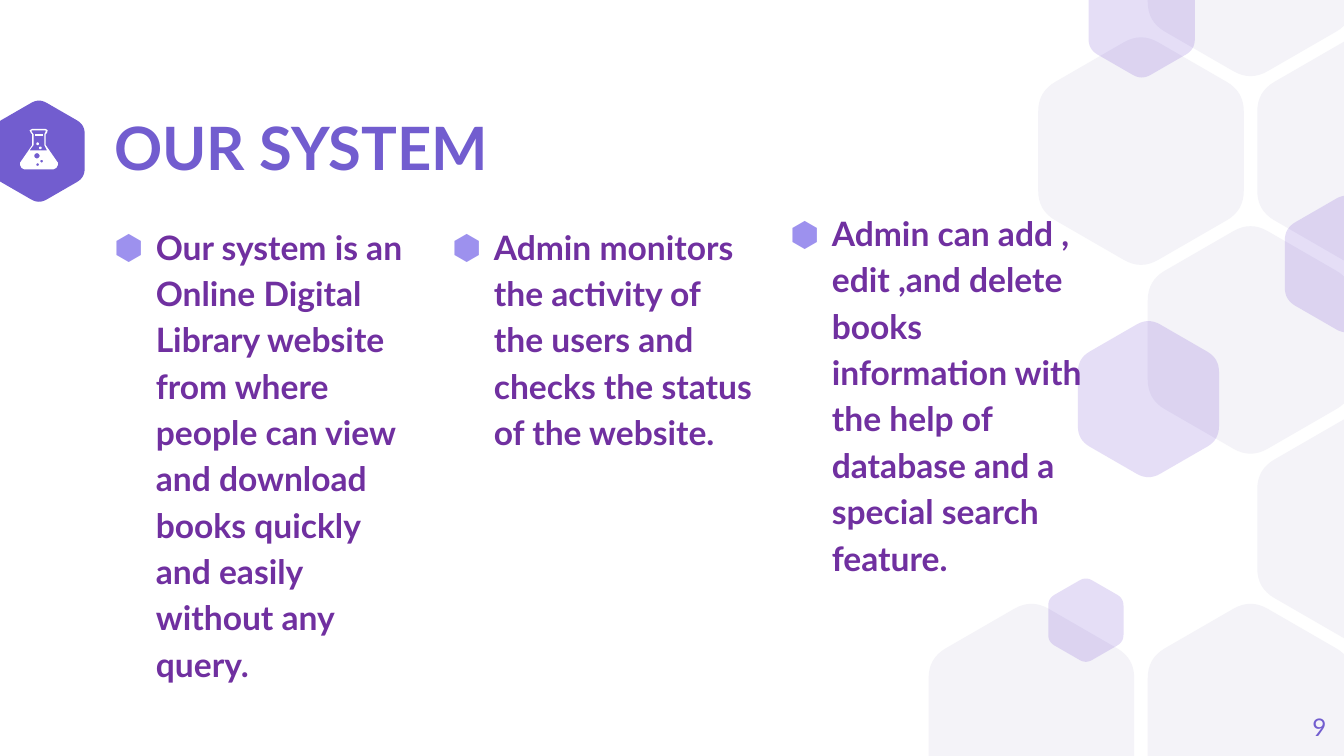
"""Build the OUR SYSTEM slide: three bulleted columns beside a honeycomb."""
from math import cos, pi, sin, sqrt

from lxml import etree
from pptx import Presentation
from pptx.dml.color import RGBColor
from pptx.enum.text import MSO_ANCHOR, MSO_AUTO_SIZE, PP_ALIGN
from pptx.oxml.ns import qn
from pptx.util import Inches, Pt

LEFT, RIGHT = PP_ALIGN.LEFT, PP_ALIGN.RIGHT
TOP, MIDDLE = MSO_ANCHOR.TOP, MSO_ANCHOR.MIDDLE
NO_AUTOFIT = MSO_AUTO_SIZE.NONE
COLORS = {
    "violet": "725DCF",
    "body": "7030A0",
    "bullet": "9D91EE",
    "cell": "F4F3F8",
    "accent": "5322C9",
    "icon": "FFFFFF",
}
FONT = "Lato"
SLIDE_WIDTH, SLIDE_HEIGHT = 10, 5.625
MARGIN, COLUMN_WIDTH, COLUMN_PITCH = 0.85, 2.27, 2.515
CELL_WIDTH, CELL_PITCH, ROW_PITCH = 1.53, 0.815, 1.405
FIRST_CELL_X, FIRST_CELL_Y = 7.675, -0.28
CORNER, CURVE_STEPS = 1 / 6, 8
INDENT = 0.31


def draw_outline(contours, color, opacity=100):
    points = [[(Inches(x), Inches(y)) for x, y in contour] for contour in contours]
    builder = slide.shapes.build_freeform(*points[0][0], scale=1.0)
    for number, contour in enumerate(points):
        if number:
            builder.move_to(*contour[0])
        builder.add_line_segments(contour[1:], close=True)
    shape = builder.convert_to_shape()
    shape.shadow.inherit = False
    shape.fill.solid()
    shape.fill.fore_color.rgb = RGBColor.from_string(COLORS[color])
    shape.line.fill.background()
    if opacity < 100:
        fill_color = shape.fill._xPr.find(qn("a:solidFill"))[0]
        etree.SubElement(fill_color, qn("a:alpha"), val=str(opacity * 1000))


def write_text(shape, text, box, size, color, bold=False, align=LEFT,
               anchor=TOP, spacing=1.0, bullet=None):
    shape.left, shape.top, shape.width, shape.height = map(Inches, box)
    frame = shape.text_frame
    frame.word_wrap = True
    frame.auto_size = NO_AUTOFIT
    frame.vertical_anchor = anchor
    frame.margin_left = frame.margin_right = 0
    frame.margin_top = frame.margin_bottom = 0
    paragraph = frame.paragraphs[0]
    if bullet:
        properties = paragraph._p.get_or_add_pPr()
        properties.set("marL", str(Inches(INDENT)))
        properties.set("indent", str(-Inches(INDENT)))
        bullet_color = etree.SubElement(properties, qn("a:buClr"))
        etree.SubElement(bullet_color, qn("a:srgbClr"), val=COLORS["bullet"])
        etree.SubElement(properties, qn("a:buFont"), typeface=FONT)
        etree.SubElement(properties, qn("a:buChar"), char=bullet)
    paragraph.alignment = align
    paragraph.line_spacing = spacing
    run = paragraph.add_run()
    run.text = text
    run.font.name = FONT
    run.font.size = Pt(size)
    run.font.bold = bold
    run.font.color.rgb = RGBColor.from_string(COLORS[color])


presentation = Presentation()
presentation.slide_width = Inches(SLIDE_WIDTH)
presentation.slide_height = Inches(SLIDE_HEIGHT)
slide = presentation.slides.add_slide(presentation.slide_layouts[5])

cells = [(0, 4), (2, 4), (3, 1), (2, 0), (2, 2), (1, 1), (3, 3)]
hexagons = [(0.29, 1.125, 0.68, "violet", 100)]
hexagons += [
    (FIRST_CELL_X + column * CELL_PITCH, FIRST_CELL_Y + row * ROW_PITCH, CELL_WIDTH, "cell", 100)
    for column, row in cells
]
hexagons += [
    (x, y, width, "accent", 15)
    for x, y, width in [(10.02, 1.965, 0.92), (8.08, 4.615, 0.56),
                        (8.495, 0.14, 0.79), (8.545, 2.97, 1.05)]
]

for center_x, center_y, width, color, opacity in hexagons:
    radius = width / sqrt(3)
    corners = [
        (center_x + radius * sin(k * pi / 3), center_y - radius * cos(k * pi / 3))
        for k in range(6)
    ]
    outline = []
    for k, corner in enumerate(corners):
        before, after = corners[k - 1], corners[(k + 1) % 6]
        for step in range(CURVE_STEPS + 1):
            t = step / CURVE_STEPS
            x, y = (
                c + CORNER * ((1 - t) ** 2 * (b - c) + t ** 2 * (a - c))
                for b, c, a in zip(before, corner, after)
            )
            outline.append((x, min(max(y, 0), SLIDE_HEIGHT)))
    draw_outline([outline], color, opacity)

write_text(slide.shapes.title, "OUR SYSTEM", (MARGIN, 0.91, 7.3, 0.43), 32, "violet",
           bold=True, anchor=MIDDLE, spacing=0.9)

columns = [
    (1.64, "Our system is an Online Digital Library website from where people can view "
           "and download books quickly and easily without any query."),
    (1.64, "Admin monitors the activity of the users and checks the status of the website."),
    (1.54, "Admin can add , edit ,and delete books information with the help of database "
           "and a special search feature."),
]
for number, (top, text) in enumerate(columns):
    box = (MARGIN + number * COLUMN_PITCH, top, COLUMN_WIDTH, 3.57)
    write_text(slide.shapes.add_textbox(0, 0, 0, 0), text, box, 18, "body",
               bold=True, spacing=1.15, bullet="⬢")

write_text(slide.shapes.add_textbox(0, 0, 0, 0), "9", (9.27, 5.19, 0.6, 0.43), 13, "violet",
           align=RIGHT, anchor=MIDDLE)

flask = [(0.24, 0.96), (0.34, 0.96), (0.355, 0.97), (0.35, 0.99), (0.34, 1), (0.34, 1.08),
         (0.43, 1.21), (0.43, 1.23), (0.42, 1.25), (0.4, 1.26), (0.18, 1.26), (0.16, 1.25),
         (0.15, 1.23), (0.15, 1.21), (0.24, 1.08), (0.24, 1), (0.23, 0.99), (0.22, 0.97)]
neck = [(0.235, 0.97), (0.34, 0.97), (0.34, 0.98), (0.33, 1), (0.33, 1.08),
        (0.35, 1.12), (0.22, 1.12), (0.25, 1.08), (0.25, 1), (0.235, 0.98)]
rim = [(0.26, 1), (0.32, 1), (0.32, 1.01), (0.26, 1.01)]
bubbles = [
    [(x + radius * cos(k * pi / 8), y + radius * sin(k * pi / 8)) for k in range(16)]
    for x, y, radius in [(0.275, 1.16, 0.02), (0.31, 1.2, 0.01), (0.28, 1.225, 0.01),
                         (0.3, 1.1, 0.01), (0.28, 1.07, 0.01)]
]
for contours in [[flask, neck, *bubbles[:3]], [bubbles[3]], [rim], [bubbles[4]]]:
    draw_outline(contours, "icon")

presentation.save("out.pptx")
